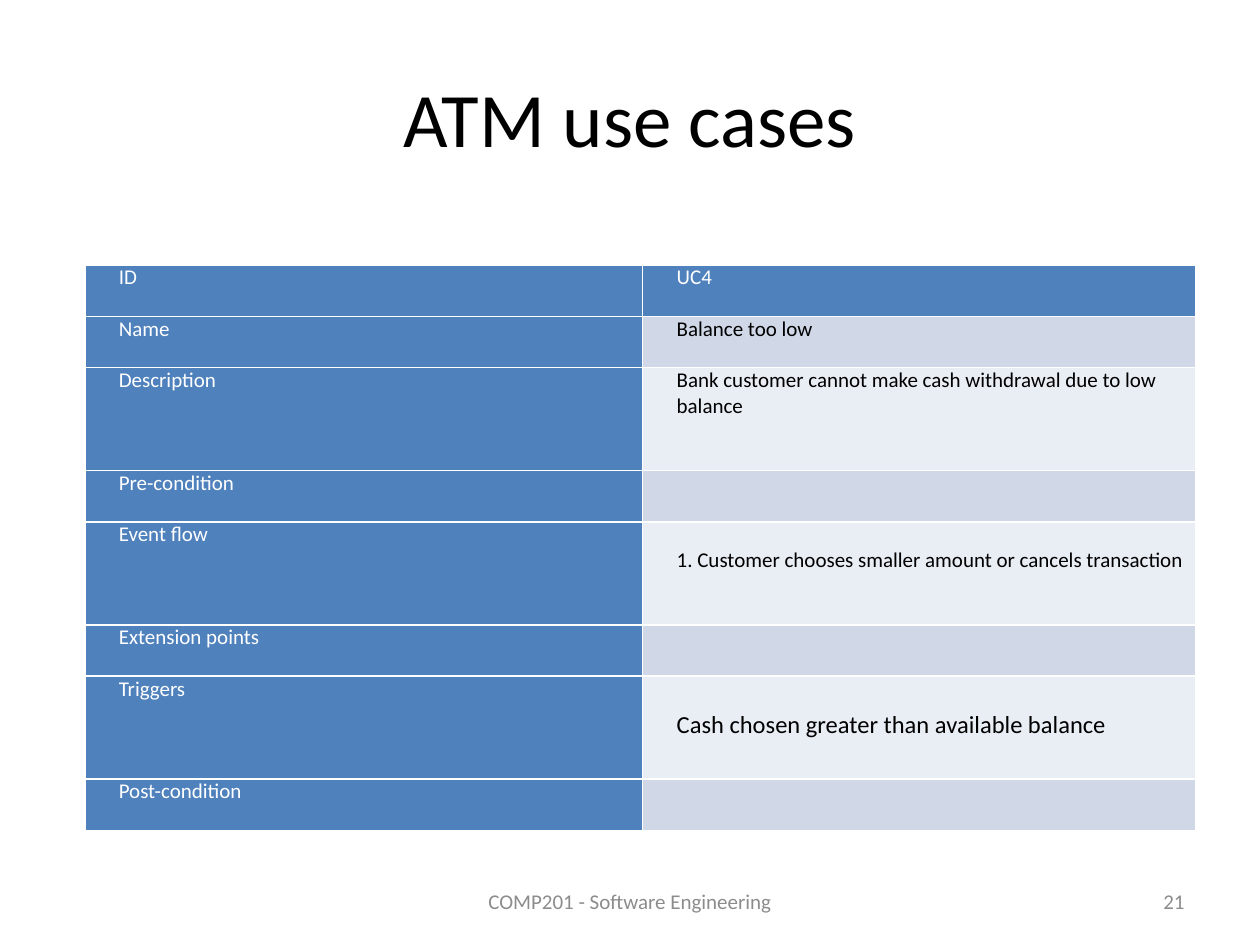
from lxml.etree import SubElement
from pptx import Presentation
from pptx.dml.color import RGBColor
from pptx.enum.text import MSO_ANCHOR as Anchor, PP_ALIGN as Align
from pptx.oxml.ns import qn
from pptx.util import Pt

BLACK, WHITE, GREY = "000000", "FFFFFF", "8C8C8C"
BLUE, BANDS = "4F81BD", ("E9EDF4", "D0D8E8")

# text, (left, top, width, height), format
TEXTS = [
    ("ATM use cases", (36, 21.6, 648, 90), dict(size=44)),
    ("COMP201 - Software Engineering", (246, 500.5, 228, 28.75), dict(color=GREY)),
    ("21", (516, 500.5, 168, 28.75), dict(color=GREY, align=Align.RIGHT)),
]
# label, value, height in row units, size of the value, space above the value
USE_CASE = [
    ("ID", "UC4", 1, 12, 0),
    ("Name", "Balance too low", 1, 12, 0),
    ("Description", "Bank customer cannot make cash withdrawal due to low balance", 2, 12, 0),
    ("Pre-condition", "", 1, 12, 0),
    ("Event flow", "1. Customer chooses smaller amount or cancels transaction", 2, 12, 14.6),
    ("Extension points", "", 1, 12, 0),
    ("Triggers", "Cash chosen greater than available balance", 2, 14, 19.5),
    ("Post-condition", "", 1, 12, 0),
]
TABLE_LEFT, TABLE_TOP = 48.5, 151.4
COLUMN_WIDTHS = (318.8, 316)
ROW_UNIT = 29.39


def rgb(code):
    """Turn a hex string into a colour."""
    return RGBColor.from_string(code)


def write(frame, text, size=12, color=BLACK, align=Align.CENTER, indent=0):
    """Write one formatted paragraph into a text frame."""
    frame.word_wrap = True
    paragraph = frame.paragraphs[0]
    paragraph.alignment = align
    if indent:
        properties = paragraph._p.get_or_add_pPr()
        properties.set("marL", str(Pt(indent)))
        properties.set("indent", "0")
    paragraph.font.size = Pt(size)
    if text:
        run = paragraph.add_run()
        run.text = text
        run.font.size = Pt(size)
        run.font.name = "Calibri"
        run.font.color.rgb = rgb(color)


def style_cell(cell, fill, top_margin=0):
    """Set margins, white one-point borders and the fill of a cell."""
    cell.margin_left = cell.margin_right = Pt(5)
    cell.margin_top, cell.margin_bottom = Pt(top_margin), 0
    properties = cell._tc.get_or_add_tcPr()
    for side in ("a:lnL", "a:lnR", "a:lnT", "a:lnB"):
        border = SubElement(properties, qn(side), w=str(Pt(1)))
        solid = SubElement(border, qn("a:solidFill"))
        SubElement(solid, qn("a:srgbClr"), val=WHITE)
    cell.fill.solid()
    cell.fill.fore_color.rgb = rgb(fill)


def add_use_case(slide):
    """Add the use case table."""
    units = sum(row[2] for row in USE_CASE)
    table = slide.shapes.add_table(
        len(USE_CASE), 2, Pt(TABLE_LEFT), Pt(TABLE_TOP),
        Pt(sum(COLUMN_WIDTHS)), Pt(units * ROW_UNIT)).table
    for column, width in zip(table.columns, COLUMN_WIDTHS):
        column.width = Pt(width)
    for i, (label, value, height, size, space) in enumerate(USE_CASE):
        table.rows[i].height = Pt(height * ROW_UNIT)
        label_cell, value_cell = table.cell(i, 0), table.cell(i, 1)
        style_cell(label_cell, BLUE)
        write(label_cell.text_frame, label, color=WHITE, align=Align.LEFT, indent=14.4)
        style_cell(value_cell, BANDS[i % 2] if i else BLUE, space)
        write(value_cell.text_frame, value, size=size, color=BLACK if i else WHITE,
              align=Align.LEFT, indent=14.4)


def main():
    """Build and save the slide."""
    deck = Presentation()
    deck.slide_width, deck.slide_height = Pt(720), Pt(540)
    slide = deck.slides.add_slide(deck.slide_layouts[6])
    for text, place, style in TEXTS:
        frame = slide.shapes.add_textbox(*map(Pt, place)).text_frame
        frame.vertical_anchor = Anchor.MIDDLE
        write(frame, text, **style)
    add_use_case(slide)
    deck.save("out.pptx")


main()
